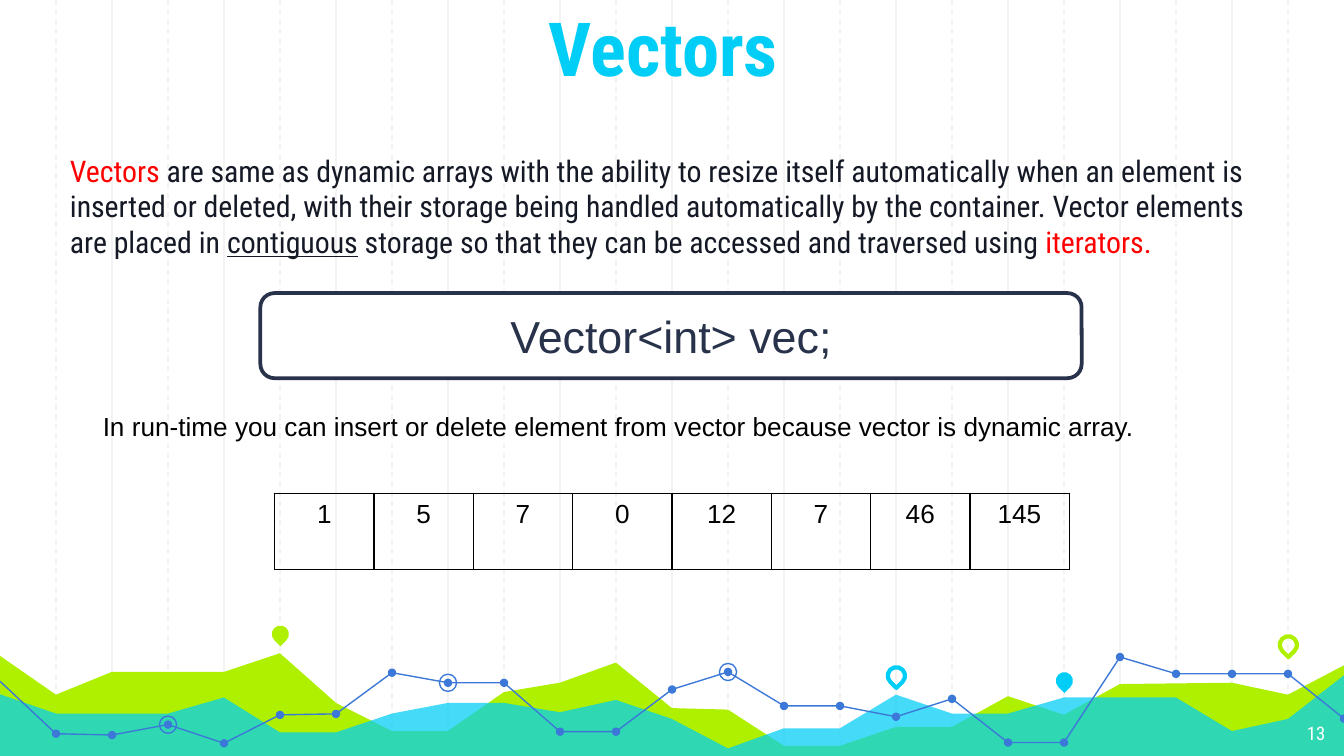
from lxml.etree import SubElement as Sub
from pptx import Presentation
from pptx.dml.color import RGBColor as RGB
from pptx.enum.dml import MSO_LINE as Dash
from pptx.enum.shapes import MSO_CONNECTOR as Conn, MSO_SHAPE as Kind
from pptx.enum.text import MSO_ANCHOR as Anchor, MSO_AUTO_SIZE as Auto, PP_ALIGN as Align
from pptx.oxml.ns import qn
from pptx.util import Pt


class Theme:
    cyan, lime, blue = "00CEF6", "AFF000", "3C78D8"
    ink, navy, red = "141925", "28324A", "FF0000"
    white, black, rule = "FFFFFF", "000000", "F3F3F3"
    head, sans = "Roboto Condensed", "Arial"
    title, code, body, note, page = 40, 24, 16, 14, 10


T = Theme
WIDE, HIGH, STEP = 720, 405, 30

# Text: runs of (words, colour, underlined)
TITLE = "Vectors "
INTRO = [
    ("Vectors", T.red, False),
    (" are same as dynamic arrays with the ability to resize itself automatically"
     " when an element is inserted or deleted, with their storage being handled"
     " automatically by the container. Vector elements are placed in ", T.ink, False),
    ("contiguous", T.ink, True),
    (" storage so that they can be accessed and traversed using ", T.ink, False),
    ("iterators.", T.red, False),
]
CODE = "Vector<int> vec;"
NOTE = "In run-time you can insert or delete element from vector because vector is dynamic array."
CELLS = [1, 5, 7, 0, 12, 7, 46, 145]
PAGE = "13"

# Footer art: grid column -> height on the slide
HILLS = [
    (T.lime, None, {0: 351.4, 1: 372.2, 2: 360, 4: 360, 5: 350, 6: 376.6, 7: 391.7,
                    8: 391.7, 9: 370.8, 10: 365.8, 11: 355, 12: 379.4, 13: 380.2,
                    14: 399.6, 15: 399.6, 16: 389.5, 17: 389.5, 18: 373, 19: 383,
                    20: 366.5, 22: 365.8, 23: 372.2, 24: 356.5}),
    (T.cyan, 73, {0: 372, 1: 382.3, 3: 382.3, 4: 373.7, 5: 392.4, 6: 392.4,
                  7: 382.3, 8: 376.6, 9: 376.6, 10: 381.6, 11: 375, 12: 385.2,
                  13: 401, 14: 390.2, 15: 390.2, 16: 372.2, 17: 382.3, 18: 382.3,
                  19: 373.7, 21: 373.7, 22: 391.7, 23: 385.2, 24: 361.8}),
]
TREND = [365, 393.1, 393.8, 388.2, 398.2, 383, 382.5, 360.4, 365.8, 365.8, 392, 392,
         369.4, 360, 378.2, 378.2, 384, 374.4, 397.8, 397.8, 352, 361, 361, 361, 385]
PARTS = [(0, 11), (11, 20), (20, 24)]
RINGS = [3, 8, 13]
PINS = [(5, 339.7, T.lime, True), (16, 362, T.cyan, False),
        (19, 364.7, T.cyan, True), (23, 345.5, T.lime, False)]

deck = Presentation()
deck.slide_width, deck.slide_height = Pt(WIDE), Pt(HIGH)
slide = deck.slides.add_slide(deck.slide_layouts[5])
shapes = slide.shapes


def paint(shape, fill=None, line=None, width=0.75):
    shape.shadow.inherit = False
    for part, tint in ((shape.fill, fill), (shape.line.fill, line)):
        if tint:
            part.solid()
            part.fore_color.rgb = RGB.from_string(tint)
        else:
            part.background()
    if line:
        shape.line.width = Pt(width)


def trace(dots, close=False):
    pts = [(Pt(x), Pt(y)) for x, y in dots]
    pen = shapes.build_freeform(*pts[0], scale=1.0)
    pen.add_line_segments(pts[1:], close=close)
    return pen.convert_to_shape()


def place(kind, mid, y, size):
    half = size / 2
    return shapes.add_shape(kind, Pt(mid - half), Pt(y - half), Pt(size), Pt(size))


def write(frame, runs, size, font, align=Align.LEFT, bold=False):
    para = frame.paragraphs[0]
    para.alignment = align
    for words, tint, under in runs:
        run = para.add_run()
        run.text = words
        face = run.font
        face.name, face.size, face.bold = font, Pt(size), bold
        face.color.rgb = RGB.from_string(tint)
        if under:
            face.underline = True


def text_box(x, y, w, h, runs, size, font, align=Align.LEFT, pad=None):
    frame = shapes.add_textbox(Pt(x), Pt(y), Pt(w), Pt(h)).text_frame
    frame.word_wrap = True
    if pad:
        frame.margin_top = frame.margin_bottom = Pt(pad)
    write(frame, runs, size, font, align)


def border(cell, tint, width):
    props = cell._tc.get_or_add_tcPr()
    for side in ("a:lnL", "a:lnR", "a:lnT", "a:lnB"):
        edge = Sub(props, qn(side), w=str(Pt(width)))
        Sub(Sub(edge, qn("a:solidFill")), qn("a:srgbClr"), val=tint)


# Vertical rules, solid on even columns and dashed on odd ones
for start, dash in ((2, None), (1, Dash.DASH)):
    for col in range(start, 24, 2):
        x = Pt(col * STEP)
        rule = shapes.add_connector(Conn.STRAIGHT, x, 0, x, Pt(HIGH))
        rule.line.color.rgb = RGB.from_string(T.rule)
        rule.line.width = Pt(0.75)
        if dash:
            rule.line.dash_style = dash
        Sub(rule.element.spPr, qn("a:effectLst"))

# Hills, trend line and markers
for tint, alpha, tops in HILLS:
    ridge = [(col * STEP, y) for col, y in tops.items()]
    hill = trace(ridge + [(WIDE, HIGH), (0, HIGH)], close=True)
    paint(hill, tint)
    if alpha:
        shade = hill.element.spPr.find(qn("a:solidFill"))[0]
        Sub(shade, qn("a:alpha"), val=str(alpha * 1000))

for first, last in PARTS:
    paint(trace([(c * STEP, TREND[c]) for c in range(first, last + 1)]), line=T.blue)
for col, y in enumerate(TREND[1:], 1):
    paint(place(Kind.OVAL, col * STEP, y, 4.5), T.blue)
for col in RINGS:
    paint(place(Kind.OVAL, col * STEP, TREND[col], 9.2), line=T.blue)
for col, y, tint, full in PINS:
    pin = place(Kind.TEAR, col * STEP + 0.2, y, 9.2)
    pin.rotation = 135
    paint(pin, tint if full else None, None if full else tint, 2.25)

# Title, kept in front of the rules
title = shapes.title
shapes.element.append(title.element)
title.left, title.top, title.width, title.height = 0, 0, Pt(WIDE), Pt(56)
frame = title.text_frame
frame.auto_size, frame.vertical_anchor = Auto.NONE, Anchor.BOTTOM
frame.margin_top = frame.margin_bottom = Pt(7.2)
write(frame, [(TITLE, T.cyan, False)], T.title, T.head, Align.CENTER, True)

text_box(674, 380.6, 43, 24.4, [(PAGE, T.white, False)], T.page, T.head, Align.RIGHT, 7.2)
text_box(30.4, 78, 658, 65.5, INTRO, T.body, T.head)
text_box(48, 216.5, 623, 24.2, [(NOTE, T.black, False)], T.note, T.sans)

# One single-cell table per vector element
SIDE, ROW = 53.2, 40.6
left = (WIDE - SIDE * len(CELLS)) / 2
for i, value in enumerate(CELLS):
    grid = shapes.add_table(1, 1, Pt(left + i * SIDE), Pt(264.4), Pt(SIDE), Pt(ROW)).table
    grid.first_row = grid.horz_banding = False
    cell = grid.cell(0, 0)
    border(cell, T.black, 0.75)
    cell.fill.background()
    write(cell.text_frame, [(str(value), T.black, False)], T.note, T.sans, Align.CENTER)

box = shapes.add_shape(Kind.ROUNDED_RECTANGLE, Pt(139.5), Pt(157), Pt(440), Pt(45.6))
paint(box, T.white, T.navy, 2)
box.text_frame.vertical_anchor = Anchor.MIDDLE
write(box.text_frame, [(CODE, T.navy, False)], T.code, T.sans, Align.CENTER)

deck.save("out.pptx")
